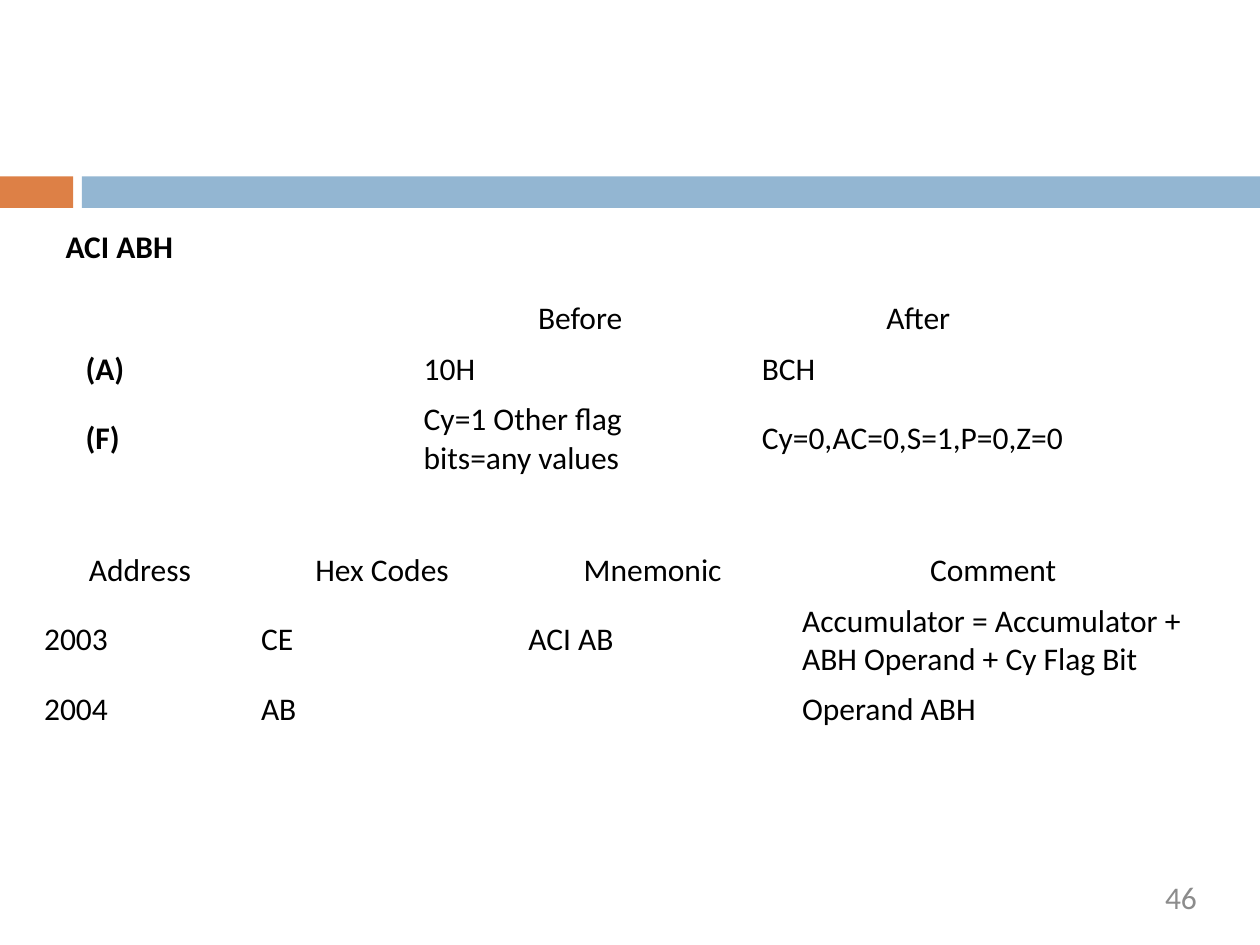
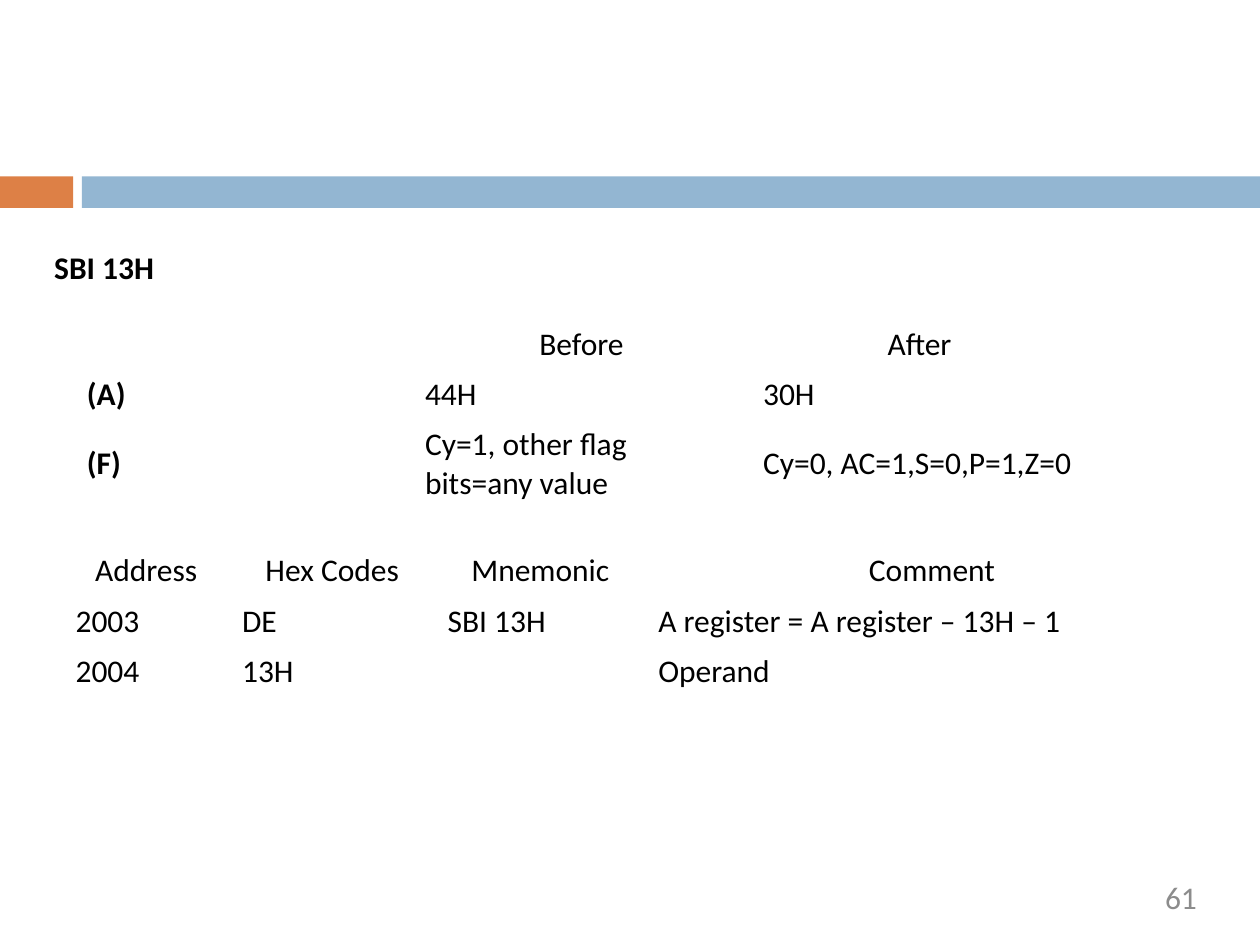
from dataclasses import dataclass

from pptx import Presentation
from pptx.dml.color import RGBColor
from pptx.enum.shapes import MSO_SHAPE
from pptx.enum.text import MSO_ANCHOR, MSO_AUTO_SIZE, PP_ALIGN
from pptx.util import Inches, Pt

RECTANGLE = MSO_SHAPE.RECTANGLE
TOP, MIDDLE = MSO_ANCHOR.TOP, MSO_ANCHOR.MIDDLE
LEFT, CENTER, RIGHT = PP_ALIGN.LEFT, PP_ALIGN.CENTER, PP_ALIGN.RIGHT
NO_AUTOFIT = MSO_AUTO_SIZE.NONE

SLIDE_WIDTH, SLIDE_HEIGHT = Inches(10), Inches(7.5)
GRID_COLUMNS, GRID_ROWS = 100, 75
TITLE_ONLY_LAYOUT = 5


@dataclass(frozen=True)
class Theme:
    font: str = "Calibri"
    size: int = 18
    text: str = "000000"
    page_number: str = "8C8C8C"
    accent_band: str = "DD8046"
    main_band: str = "93B6D2"


@dataclass(frozen=True)
class Box:
    left: float
    top: float
    width: float
    height: float

    def place(self):
        column, row = SLIDE_WIDTH / GRID_COLUMNS, SLIDE_HEIGHT / GRID_ROWS
        return (int(self.left * column), int(self.top * row),
                int(self.width * column), int(self.height * row))


@dataclass(frozen=True)
class Grid:
    box: Box
    column_shares: tuple
    row_shares: tuple
    cells: tuple
    bold_first_column: bool = False


@dataclass(frozen=True)
class Instruction:
    title: str
    title_box: Box
    page_number: str
    registers: Grid
    program: Grid


THEME = Theme()
BANDS = ((Box(0, 14, 5.8, 2.5), THEME.accent_band),
         (Box(6.5, 14, 93.5, 2.5), THEME.main_band))
PAGE_NUMBER_BOX = Box(72, 69.7, 23, 3.8)
REGISTER_HEADER = ("", "Before", "After")
PROGRAM_HEADER = ("Address", "Hex Codes", "Mnemonic", "Comment")
EQUAL_THIRDS = (1, 1, 1)
ONE_LINE, TWO_LINES = 4, 7

INSTRUCTIONS = (
    Instruction(
        "ACI ABH", Box(4.2, 17.5, 11.2, 4), "46",
        Grid(Box(5.8, 23.3, 80.5, 15), EQUAL_THIRDS,
             (ONE_LINE, ONE_LINE, TWO_LINES),
             (REGISTER_HEADER,
              ("(A)", "10H", "BCH"),
              ("(F)", "Cy=1 Other flag bits=any values",
               "Cy=0,AC=0,S=1,P=0,Z=0")), True),
        Grid(Box(2.5, 43.3, 92.5, 15), (1.72, 2.12, 2.17, 3.23),
             (ONE_LINE, TWO_LINES, ONE_LINE),
             (PROGRAM_HEADER,
              ("2003", "CE", "ACI AB",
               "Accumulator = Accumulator + ABH Operand + Cy Flag Bit"),
              ("2004", "AB", "", "Operand ABH")))),
    Instruction(
        "SBI 13H", Box(3.3, 19.2, 10.6, 4), "61",
        Grid(Box(5.9, 25.3, 80.5, 15), EQUAL_THIRDS,
             (ONE_LINE, ONE_LINE, TWO_LINES),
             (REGISTER_HEADER,
              ("(A)", "44H", "30H"),
              ("(F)", "Cy=1, other flag bits=any value",
               "Cy=0, AC=1,S=0,P=1,Z=0")), True),
        Grid(Box(5, 43.3, 91.7, 12), (1.32, 1.63, 1.67, 4.54),
             (ONE_LINE, ONE_LINE, ONE_LINE),
             (PROGRAM_HEADER,
              ("2003", "DE", "SBI 13H", "A register = A register – 13H – 1"),
              ("2004", "13H", "", "Operand")))),
)


def write(text_frame, text, align=LEFT, bold=False, color=THEME.text):
    text_frame.text = text
    paragraph = text_frame.paragraphs[0]
    paragraph.alignment = align
    paragraph.font.size = Pt(THEME.size)
    for run in paragraph.runs:
        run.font.name = THEME.font
        run.font.size = Pt(THEME.size)
        run.font.bold = bold
        run.font.color.rgb = RGBColor.from_string(color)


def add_bands(slide, layout):
    for box, color in BANDS:
        band = slide.shapes.add_shape(RECTANGLE, *box.place())
        band.shadow.inherit = False
        band.fill.solid()
        band.fill.fore_color.rgb = RGBColor.from_string(color)
        band.line.fill.background()
        layout.shapes.element.append(band.element)


def place_title(slide, text, box):
    title = slide.shapes.title
    title.left, title.top, title.width, title.height = box.place()
    frame = title.text_frame
    frame.word_wrap = False
    frame.auto_size = NO_AUTOFIT
    frame.vertical_anchor = TOP
    write(frame, text, bold=True)


def add_page_number(slide, number):
    frame = slide.shapes.add_textbox(*PAGE_NUMBER_BOX.place()).text_frame
    frame.word_wrap = True
    frame.margin_left = frame.margin_right = 0
    frame.margin_top = frame.margin_bottom = 0
    write(frame, number, RIGHT, color=THEME.page_number)


def share_out(lines, shares, dimension, total):
    for line, share in zip(lines, shares):
        setattr(line, dimension, int(total * share / sum(shares)))


def add_grid(slide, grid):
    left, top, width, height = grid.box.place()
    table = slide.shapes.add_table(
        len(grid.row_shares), len(grid.column_shares),
        left, top, width, height).table
    table.first_row = table.horz_banding = False
    share_out(table.columns, grid.column_shares, "width", width)
    share_out(table.rows, grid.row_shares, "height", height)
    for row, texts in enumerate(grid.cells):
        for column, text in enumerate(texts):
            cell = table.cell(row, column)
            cell.fill.background()
            cell.vertical_anchor = MIDDLE
            write(cell.text_frame, text, LEFT if row else CENTER,
                  grid.bold_first_column and column == 0)


def add_instruction_slide(presentation, layout, instruction):
    slide = presentation.slides.add_slide(layout)
    place_title(slide, instruction.title, instruction.title_box)
    add_page_number(slide, instruction.page_number)
    add_grid(slide, instruction.registers)
    add_grid(slide, instruction.program)
    return slide


def main():
    presentation = Presentation()
    presentation.slide_width, presentation.slide_height = SLIDE_WIDTH, SLIDE_HEIGHT
    layout = presentation.slide_layouts[TITLE_ONLY_LAYOUT]
    slides = [add_instruction_slide(presentation, layout, instruction)
              for instruction in INSTRUCTIONS]
    add_bands(slides[0], layout)
    presentation.save("out.pptx")


if __name__ == "__main__":
    main()
